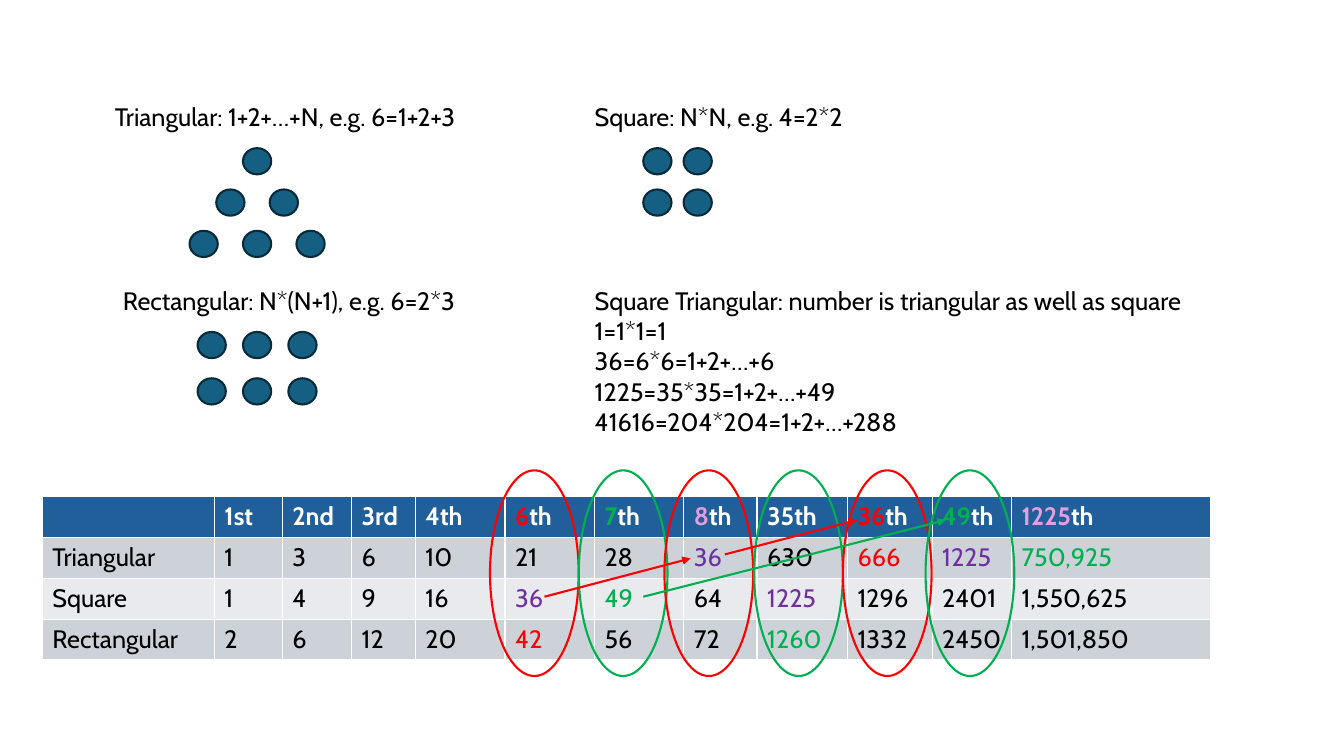
import pptx
import pptx.dml.color
import pptx.enum.shapes
import pptx.oxml
import pptx.oxml.ns
import pptx.util

RGBColor = pptx.dml.color.RGBColor
BLACK = RGBColor(0x00, 0x00, 0x00)
WHITE = RGBColor(0xFF, 0xFF, 0xFF)
RED = RGBColor(0xFF, 0x00, 0x00)
GREEN = RGBColor(0x00, 0xB0, 0x50)
PURPLE = RGBColor(0x70, 0x30, 0xA0)
PINK = RGBColor(0xE5, 0x9E, 0xDD)
DOT_FILL = RGBColor(0x15, 0x60, 0x82)
DOT_LINE = RGBColor(0x09, 0x2A, 0x39)
HEADER_FILL = RGBColor(0x21, 0x5F, 0x9A)
BAND_FILLS = (RGBColor(0xCC, 0xD2, 0xD8), RGBColor(0xE8, 0xEA, 0xED))

FONT = "Cabin"
TEXT_SIZE = pptx.util.Pt(18)
LINE_WIDTH = pptx.util.Pt(1.5)

# The slide is a grid of 40 columns by 22.5 rows of square cells
SLIDE_WIDTH = pptx.util.Inches(13.33)
SLIDE_HEIGHT = pptx.util.Inches(7.5)
GRID_CELL = SLIDE_HEIGHT / 22.5

DOT_WIDTH, DOT_HEIGHT = 0.84, 0.78
RING_TOP, RING_WIDTH, RING_HEIGHT = 14, 2.64, 6.12
RING_LEFTS = (14.58, 17.22, 19.77, 22.44, 25.08, 27.54)

TABLE_LEFT, TABLE_TOP, ROW_HEIGHT = 1.26, 14.77, 1.22
COLUMN_WIDTHS = (5.12, 2.02, 2.06, 1.9, 2.67, 2.66, 2.66, 2.18, 2.69, 2.52, 2.36, 5.93)
HEADER = ("", "1st", "2nd", "3rd", "4th", "6th", "7th", "8th", "35th", "36th", "49th", "1225th")
NUMBERS = (
    ("Triangular", "1", "3", "6", "10", "21", "28", "36", "630", "666", "1225", "750,925"),
    ("Square", "1", "4", "9", "16", "36", "49", "64", "1225", "1296", "2401", "1,550,625"),
    ("Rectangular", "2", "6", "12", "20", "42", "56", "72", "1260", "1332", "2450", "1,501,850"),
)
# Colour by (row, column); in the header it applies to the digits only
HIGHLIGHTS = {
    (0, 5): RED, (0, 6): GREEN, (0, 7): PINK, (0, 9): RED, (0, 10): GREEN, (0, 11): PINK,
    (1, 7): PURPLE, (1, 9): RED, (1, 10): PURPLE, (1, 11): GREEN,
    (2, 5): PURPLE, (2, 6): GREEN, (2, 8): PURPLE,
    (3, 5): RED, (3, 8): GREEN,
}


def grid(*cells):
    return [round(cell * GRID_CELL) for cell in cells]


def add_span(para, text, color=BLACK, bold=False):
    span = para.add_run()
    span.text = text
    span.font.name = FONT
    span.font.size = TEXT_SIZE
    span.font.bold = bold
    span.font.color.rgb = color


def add_text(page, left, top, width, lines):
    box = page.shapes.add_textbox(*grid(left, top, width, 0.3 + 0.9 * len(lines)))
    frame = box.text_frame
    frame.word_wrap = True
    for index, line in enumerate(lines):
        para = frame.add_paragraph() if index else frame.paragraphs[0]
        add_span(para, line)


def add_ellipse(page, left, top, width, height, line_color, fill_color=None):
    ellipse = page.shapes.add_shape(
        pptx.enum.shapes.MSO_SHAPE.OVAL, *grid(left, top, width, height))
    ellipse.shadow.inherit = False
    if fill_color is None:
        ellipse.fill.background()
    else:
        ellipse.fill.solid()
        ellipse.fill.fore_color.rgb = fill_color
    ellipse.line.color.rgb = line_color
    ellipse.line.width = LINE_WIDTH


def add_dots(page, center, top, column_gap, row_gap, row_counts):
    """Rows of dots, each row centred on the same column."""
    for row, count in enumerate(row_counts):
        for index in range(count):
            middle = center + (index - (count - 1) / 2) * column_gap
            add_ellipse(page, middle - DOT_WIDTH / 2, top + row * row_gap,
                        DOT_WIDTH, DOT_HEIGHT, DOT_LINE, DOT_FILL)


def add_arrow(page, start, end, color):
    arrow = page.shapes.add_connector(
        pptx.enum.shapes.MSO_CONNECTOR.STRAIGHT, *grid(*start, *end))
    arrow.line.color.rgb = color
    arrow.line.width = LINE_WIDTH
    head = pptx.oxml.parse_xml(
        f'<a:tailEnd {pptx.oxml.ns.nsdecls("a")} type="triangle"/>')
    arrow.line._get_or_add_ln().append(head)
    arrow._element.spPr.append(
        pptx.oxml.parse_xml(f'<a:effectLst {pptx.oxml.ns.nsdecls("a")}/>'))


def fill_cell(cell, row, column, text):
    cell.fill.solid()
    cell.fill.fore_color.rgb = BAND_FILLS[(row - 1) % 2] if row else HEADER_FILL
    para = cell.text_frame.paragraphs[0]
    color = HIGHLIGHTS.get((row, column))
    if row:
        add_span(para, text, color or BLACK)
    elif color:
        add_span(para, text[:-2], color, bold=True)
        add_span(para, text[-2:], WHITE, bold=True)
    elif text:
        add_span(para, text, WHITE, bold=True)


def add_number_table(page):
    rows = (HEADER, *NUMBERS)
    table = page.shapes.add_table(
        len(rows), len(HEADER),
        *grid(TABLE_LEFT, TABLE_TOP, sum(COLUMN_WIDTHS), ROW_HEIGHT * len(rows))).table
    for column, width in zip(table.columns, grid(*COLUMN_WIDTHS)):
        column.width = width
    for row, texts in enumerate(rows):
        for column, text in enumerate(texts):
            fill_cell(table.cell(row, column), row, column, text)


def main():
    deck = pptx.Presentation()
    deck.slide_width, deck.slide_height = SLIDE_WIDTH, SLIDE_HEIGHT
    page = deck.slides.add_slide(deck.slide_layouts[6])

    # Number families with their dot patterns
    add_text(page, 3.12, 2.88, 11.91, ["Triangular: 1+2+…+N, e.g. 6=1+2+3"])
    add_dots(page, 7.65, 4.41, 1.59, 1.23, (1, 2, 3))
    add_text(page, 17.4, 2.88, 20, ["Square: N*N, e.g. 4=2*2"])
    add_dots(page, 20.16, 4.41, 1.2, 1.23, (2, 2))
    add_text(page, 3.36, 8.34, 20, ["Rectangular: N*(N+1), e.g. 6=2*3"])
    add_dots(page, 7.65, 9.88, 1.35, 1.38, (3, 3))
    add_text(page, 17.4, 8.34, 20, [
        "Square Triangular: number is triangular as well as square",
        "1=1*1=1",
        "36=6*6=1+2+…+6",
        "1225=35*35=1+2+…+49",
        "41616=204*204=1+2+…+288",
    ])

    # Table, rings around its columns, arrows between its values
    add_number_table(page)
    for index, left in enumerate(RING_LEFTS):
        add_ellipse(page, left, RING_TOP, RING_WIDTH, RING_HEIGHT, (RED, GREEN)[index % 2])
    add_arrow(page, (16.2, 17.76), (20.55, 16.62), RED)
    add_arrow(page, (21.57, 16.5), (25.5, 15.48), RED)
    add_arrow(page, (19.14, 17.76), (28.14, 15.48), GREEN)

    deck.save("out.pptx")


if __name__ == "__main__":
    main()
